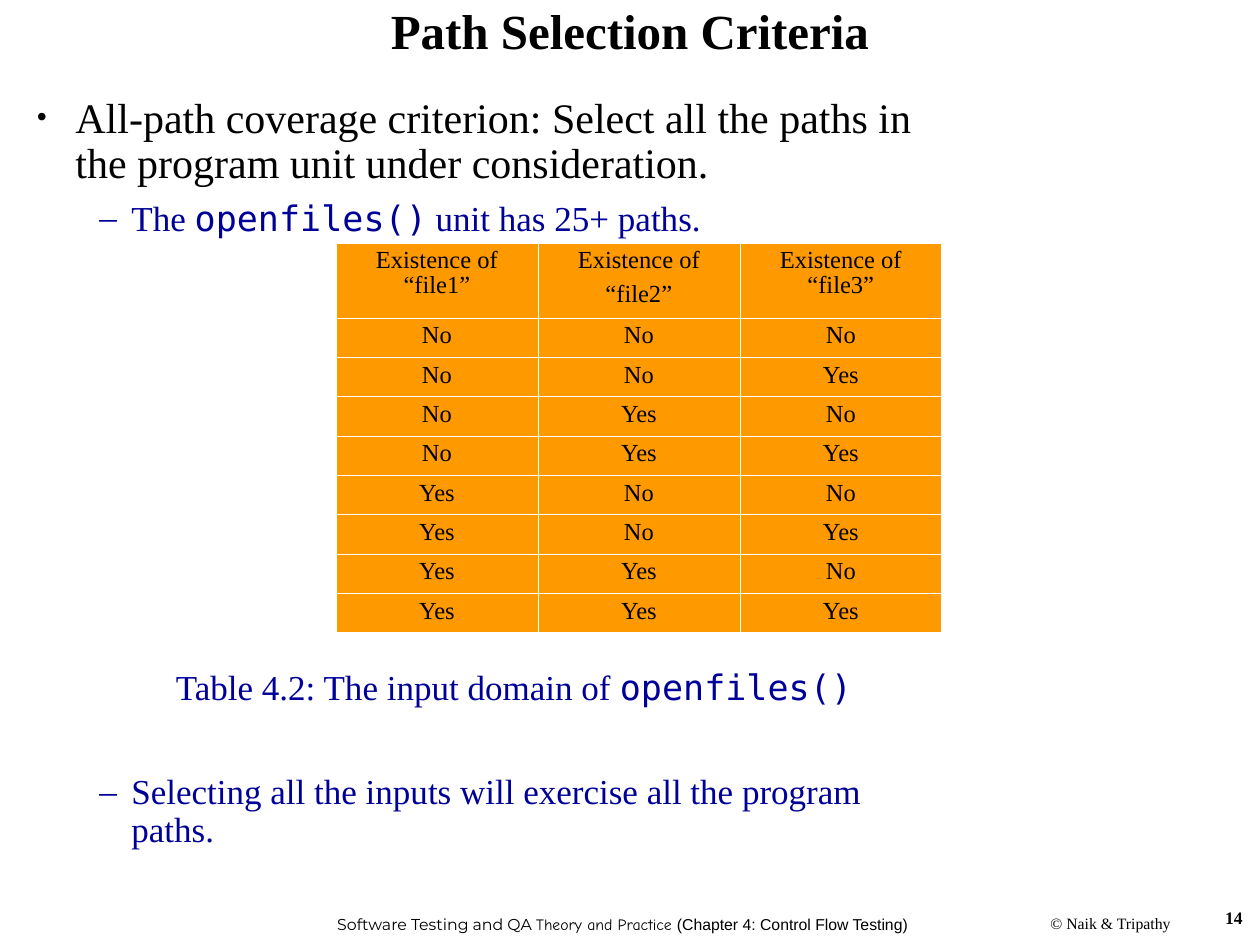
from dataclasses import dataclass

from lxml.etree import SubElement
from pptx import Presentation
from pptx.dml.color import RGBColor as Color
from pptx.enum.text import MSO_ANCHOR as Anchor, PP_ALIGN as Align
from pptx.oxml.ns import qn
from pptx.util import Emu, Pt

# Content: a span is (wording, font); None takes the serif font.
SERIF, MONO = "Times New Roman", "DejaVu Sans Mono"
TITLE = [("Path Selection Criteria", SERIF)]
FOOTER = [
    ("Software Testing and QA ", "Montserrat"),
    ("Theory and Practice ", "Comic Neue"),
    ("(Chapter 4: Control Flow Testing)", "Arial"),
]
COPYRIGHT = [("© Naik & Tripathy", SERIF)]
PAGE_NUMBER = [("14", SERIF)]

# Body lines: kind, space before in points, spans.
BODY = [
    ("point", 9, [("All-path coverage criterion: Select all the paths in "
                   "the program unit under consideration.", SERIF)]),
    ("dash", 7.5, [("The ", SERIF), ("openfiles()", MONO),
                   (" unit has 25+ paths.", SERIF)]),
    ("caption", 246.5, [("Table 4.2: The input domain of ", SERIF),
                        ("openfiles()", MONO)]),
    ("dash", 38, [("Selecting all the inputs will exercise all the program paths.",
                   SERIF)]),
]

# Each cell is a list of paragraphs.
HEADER = [["Existence of “file1”"], ["Existence of", "“file2”"],
          ["Existence of “file3”"]]
ANSWERS = ("No", "Yes")
INPUTS = [[[a], [b], [c]] for a in ANSWERS for b in ANSWERS for c in ANSWERS]

# Geometry in pixels: left, top, width, height.
PIXEL = 914400 // 126
PAGE_SIZE = (1260, 945)
TITLE_BOX = (0, 0, 1260, 67)
BODY_BOX = (24, 91, 917, 809)
FOOTER_BOX = (323, 900, 599, 48)
COPYRIGHT_BOX = (1019, 907, 183, 32)
NUMBER_BOX = (961, 901, 294, 66)
TABLE_BOX = (336, 243, 606, 390)
HEADER_HEIGHT = 75


@dataclass(frozen=True)
class Theme:
    """Colours and type sizes of the slide."""
    ink: str = "000000"
    accent: str = "000099"
    cell: str = "FF9900"
    rule: str = "FFFFFF"
    title: int = 28
    point: int = 24
    detail: int = 20
    table: int = 14
    number: int = 10
    footer: int = 9
    leading: float = 0.9
    inner_rule: float = 0.45
    outer_rule: float = 1.08


THEME = Theme()

# Kind: size, colour, margin, first-line indent, bullet, bullet percent.
KINDS = {
    "point": (THEME.point, THEME.ink, 39, -39, "•", 75),
    "dash": (THEME.detail, THEME.accent, 95, -32, "–", 100),
    "caption": (THEME.detail, THEME.accent, 95, -32, None, 100),
}


def px(value):
    """Turn pixels into EMU."""
    return Emu(round(value * PIXEL))


def write(para, spans, size, color, bold=False, align=Align.LEFT):
    """Fill a paragraph with spans and set its type."""
    para.alignment = align
    font = para.font
    font.size, font.bold, font.name = Pt(size), bold, spans[0][1]
    font.color.rgb = Color.from_string(color)
    for wording, face in spans:
        span = para.add_run()
        span.text = wording
        span.font.size = Pt(size)
        span.font.bold = bold
        span.font.name = face
        span.font.color.rgb = Color.from_string(color)


def add_box(page, place, anchor=Anchor.TOP, wrap=True):
    """Add a text box and return its text frame."""
    frame = page.shapes.add_textbox(*map(px, place)).text_frame
    frame.word_wrap = wrap
    frame.vertical_anchor = anchor
    return frame


def set_bullet(para, margin, indent, mark, color, percent):
    """Give a paragraph its hanging indent and, if any, its bullet."""
    props = para._p.get_or_add_pPr()
    props.set("marL", str(px(margin)))
    props.set("indent", str(px(indent)))
    if mark is None:
        SubElement(props, qn("a:buNone"))
        return
    shade = SubElement(props, qn("a:buClr"))
    SubElement(shade, qn("a:srgbClr"), val=color)
    SubElement(props, qn("a:buSzPct"), val=str(percent * 1000))
    SubElement(props, qn("a:buFont"), typeface=SERIF)
    SubElement(props, qn("a:buChar"), char=mark)


def add_body(page):
    """Add the bulleted text with room left for the table."""
    frame = add_box(page, BODY_BOX)
    for index, (kind, gap, spans) in enumerate(BODY):
        size, color, margin, indent, mark, percent = KINDS[kind]
        para = frame.add_paragraph() if index else frame.paragraphs[0]
        para.level = 0 if kind == "point" else 1
        para.line_spacing, para.space_before = THEME.leading, Pt(gap)
        set_bullet(para, margin, indent, mark, color, percent)
        align = Align.CENTER if kind == "caption" else Align.LEFT
        write(para, spans, size, color, align=align)


def set_borders(cell, outer):
    """Rule the four sides of a cell, heavier on the table's edge."""
    props = cell._tc.get_or_add_tcPr()
    for side in "LRTB":
        width = THEME.outer_rule if side in outer else THEME.inner_rule
        line = SubElement(props, qn(f"a:ln{side}"), w=str(Pt(width)))
        fill = SubElement(line, qn("a:solidFill"))
        SubElement(fill, qn("a:srgbClr"), val=THEME.rule)


def add_input_table(page):
    """Add the table of all combinations of existing files."""
    rows = [HEADER] + INPUTS
    last_row, last_col = len(rows) - 1, len(HEADER) - 1
    table = page.shapes.add_table(len(rows), len(HEADER),
                                  *map(px, TABLE_BOX)).table
    table.first_row = table.horz_banding = False
    for column in table.columns:
        column.width = px(TABLE_BOX[2] / len(HEADER))
    for index, row in enumerate(table.rows):
        row.height = px((TABLE_BOX[3] - HEADER_HEIGHT) / len(INPUTS)
                        if index else HEADER_HEIGHT)
    for r, row in enumerate(rows):
        for c, lines in enumerate(row):
            cell = table.cell(r, c)
            edges = (("L", c == 0), ("R", c == last_col),
                     ("T", r == 0), ("B", r == last_row))
            set_borders(cell, {side for side, on_edge in edges if on_edge})
            cell.fill.solid()
            cell.fill.fore_color.rgb = Color.from_string(THEME.cell)
            frame = cell.text_frame
            for index, wording in enumerate(lines):
                para = frame.add_paragraph() if index else frame.paragraphs[0]
                para.line_spacing, para.space_before = THEME.leading, Pt(5.2)
                write(para, [(wording, SERIF)], THEME.table, THEME.ink,
                      align=Align.CENTER)


def build():
    """Build the slide and save it."""
    deck = Presentation()
    deck.slide_width, deck.slide_height = map(px, PAGE_SIZE)
    page = deck.slides.add_slide(deck.slide_layouts[6])
    labels = [
        (FOOTER, FOOTER_BOX, THEME.footer, False, Align.CENTER, Anchor.MIDDLE, False),
        (COPYRIGHT, COPYRIGHT_BOX, THEME.footer, False, Align.CENTER, Anchor.MIDDLE, False),
        (PAGE_NUMBER, NUMBER_BOX, THEME.number, True, Align.RIGHT, Anchor.TOP, True),
        (TITLE, TITLE_BOX, THEME.title, True, Align.CENTER, Anchor.MIDDLE, True),
    ]
    for spans, place, size, bold, align, anchor, wrap in labels:
        para = add_box(page, place, anchor, wrap).paragraphs[0]
        if spans is TITLE:
            para.line_spacing = THEME.leading
        write(para, spans, size, THEME.ink, bold, align)
    add_body(page)
    add_input_table(page)
    deck.save("out.pptx")


build()
